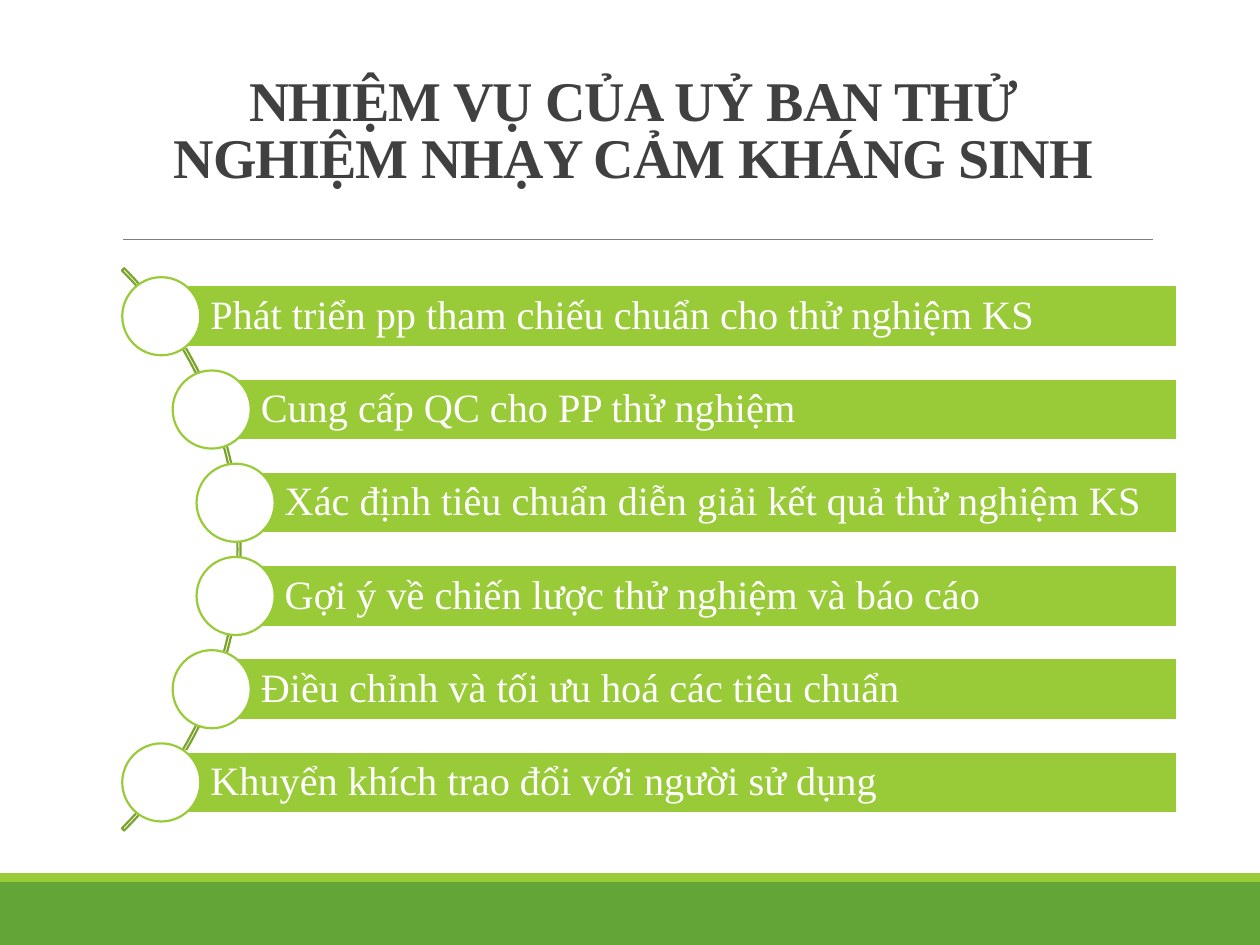
from pptx import Presentation
from pptx.dml.color import RGBColor
from pptx.enum.shapes import MSO_CONNECTOR, MSO_SHAPE
from pptx.enum.text import MSO_ANCHOR, PP_ALIGN
from pptx.oxml.ns import qn
from pptx.util import Inches, Pt
from lxml import etree

RECTANGLE, OVAL, BLOCK_ARC = MSO_SHAPE.RECTANGLE, MSO_SHAPE.OVAL, MSO_SHAPE.BLOCK_ARC
STRAIGHT = MSO_CONNECTOR.STRAIGHT
MIDDLE, BOTTOM = MSO_ANCHOR.MIDDLE, MSO_ANCHOR.BOTTOM
LEFT, CENTER = PP_ALIGN.LEFT, PP_ALIGN.CENTER

FONT = "Times New Roman"
LIME, GREEN, OLIVE, WHITE = "99CB38", "63A537", "7BA32D", "FFFFFF"
TITLE = "NHIỆM VỤ CỦA UỶ BAN THỬ NGHIỆM NHẠY CẢM KHÁNG SINH"
TASKS = [
    "Phát triển pp tham chiếu chuẩn cho thử nghiệm KS",
    "Cung cấp QC cho PP thử nghiệm",
    "Xác định tiêu chuẩn diễn giải kết quả thử nghiệm KS",
    "Gợi ý về chiến lược thử nghiệm và báo cáo",
    "Điều chỉnh và tối ưu hoá các tiêu chuẩn",
    "Khuyển khích trao đổi với người sử dụng",
]
INDENTS = [0.31, 0.71, 0.9, 0.9, 0.71, 0.31]


def color(value):
    """Turn a hex string into a colour."""
    return RGBColor.from_string(value)


def add_preset(page, kind, box, fill=None, line=None):
    """Add a preset shape with an optional fill and outline."""
    shape = page.shapes.add_shape(kind, *(Inches(length) for length in box))
    shape.shadow.inherit = False
    if fill:
        shape.fill.solid()
        shape.fill.fore_color.rgb = color(fill)
    else:
        shape.fill.background()
    if line:
        shape.line.color.rgb = color(line)
        shape.line.width = Pt(1.25)
    else:
        shape.line.fill.background()
    return shape


def write_text(shape, text, size, ink, align=LEFT, anchor=MIDDLE, spacing=0.9,
               bold=False, tracking=0, insets=(0.1, 0.05, 0.1, 0.05)):
    """Write one formatted paragraph into a shape."""
    frame = shape.text_frame
    frame.word_wrap = True
    frame.vertical_anchor = anchor
    (frame.margin_left, frame.margin_top,
     frame.margin_right, frame.margin_bottom) = (Inches(inset) for inset in insets)
    para = frame.paragraphs[0]
    para.alignment = align
    para.line_spacing = spacing
    span = para.add_run()
    span.text = text
    span.font.name = FONT
    span.font.size = Pt(size)
    span.font.bold = bold
    span.font.color.rgb = color(ink)
    if tracking:
        span.font._element.set("spc", str(int(tracking * 100)))


def add_footer(page, box):
    """Draw the green footer with a lime strip along its top."""
    left, top, width, height = box
    strip = 0.07
    add_preset(page, RECTANGLE, (left, top + strip, width, height - strip), GREEN)
    add_preset(page, RECTANGLE, (left, top, width, strip), LIME)


def add_title(page, box):
    """Place the title and the thin rule below it."""
    left, top, width, height = box
    title = page.shapes.add_textbox(*(Inches(length) for length in box))
    write_text(title, TITLE, 32, "404040", align=CENTER, anchor=BOTTOM,
               spacing=0.85, bold=True, tracking=-0.5)
    rule_y = Inches(top + height + 0.34)
    rule = page.shapes.add_connector(
        STRAIGHT, Inches(left + 0.08), rule_y, Inches(left + width), rule_y)
    rule.line.color.rgb = color("808080")
    rule.line.width = Pt(0.5)
    etree.SubElement(rule._element.spPr, qn("a:effectLst"))


def add_task_list(page, box):
    """Place the task bars and circles along a curved arc."""
    left, top, width, height = box
    diameter, bar_height, arc_size = 0.62, 0.49, 6.31
    arc = add_preset(page, BLOCK_ARC, (left - 5.37, top + (height - arc_size) / 2,
                                       arc_size, arc_size), line=OLIVE)
    for index, value in enumerate((189, 27, 0.004)):
        arc.adjustments[index] = value
    pitch = (height - diameter) / (len(TASKS) - 1)
    for index, (task, indent) in enumerate(zip(TASKS, INDENTS)):
        middle = top + diameter / 2 + index * pitch
        bar = add_preset(page, RECTANGLE, (left + indent, middle - bar_height / 2,
                                           width - indent, bar_height), LIME, WHITE)
        write_text(bar, task, 23, WHITE, insets=(0.39, 0.06, 0.06, 0.06))
        add_preset(page, OVAL, (left + indent - diameter / 2, middle - diameter / 2,
                                diameter, diameter), WHITE, LIME)


def main():
    """Build the slide and save it."""
    deck = Presentation()
    deck.slide_width, deck.slide_height = Inches(10), Inches(7.5)
    page = deck.slides.add_slide(deck.slide_layouts[6])
    add_footer(page, (0, 6.93, 10, 0.57))
    add_title(page, (0.9, 0.31, 8.25, 1.25))
    add_task_list(page, (0.97, 2.2, 8.37, 4.32))
    deck.save("out.pptx")


if __name__ == "__main__":
    main()
